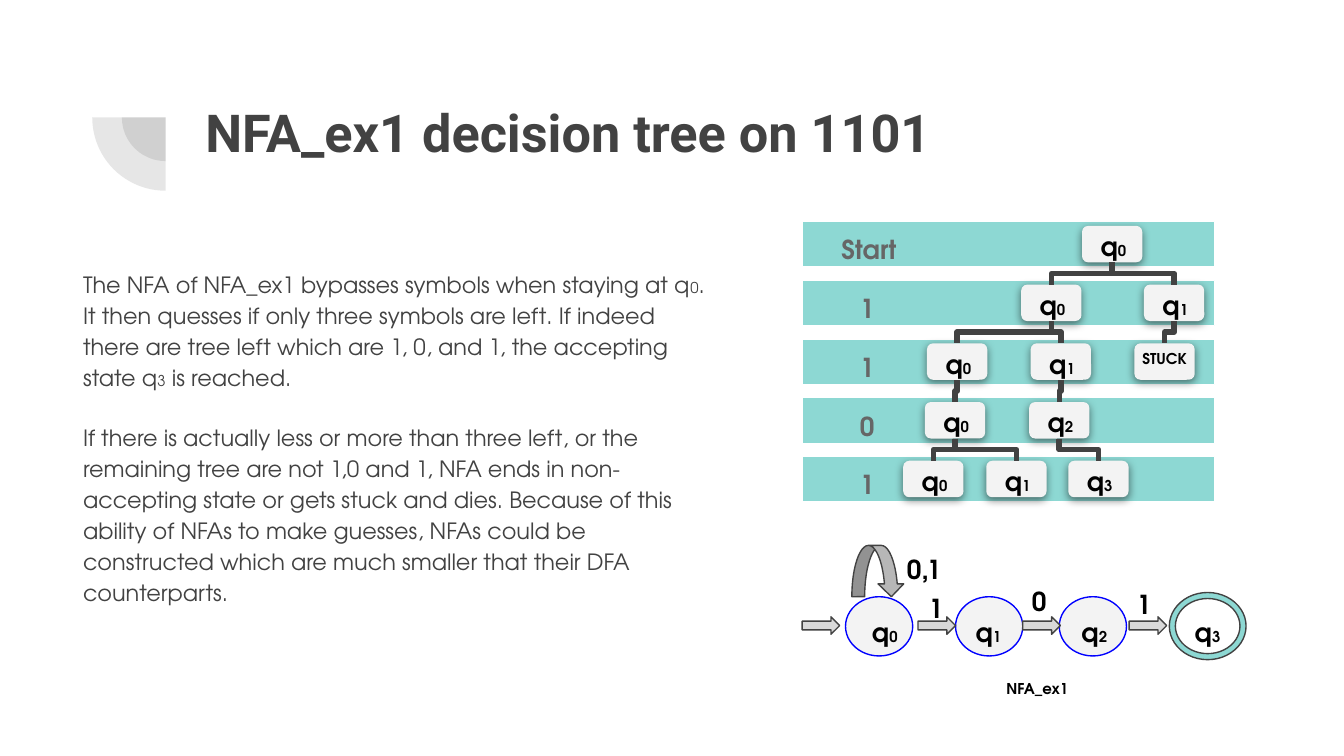
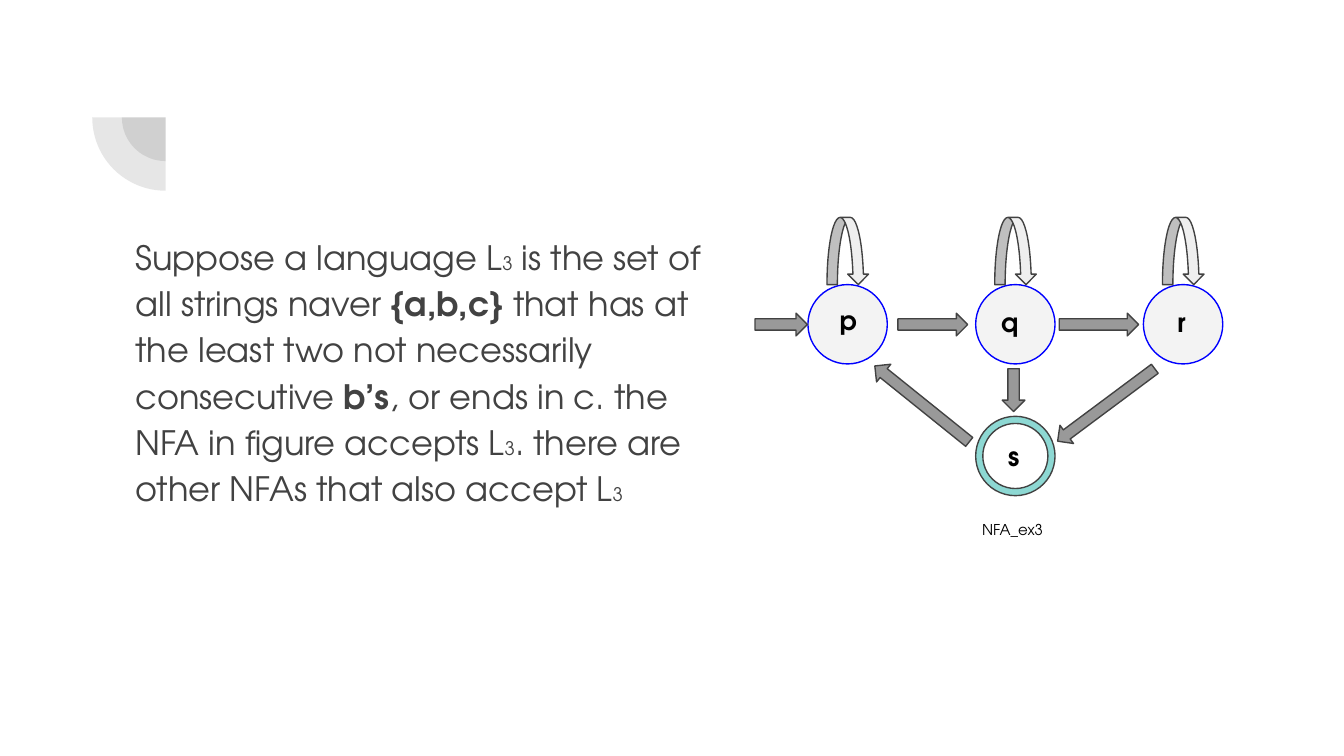
from dataclasses import dataclass
from typing import NamedTuple, Optional

from lxml.etree import SubElement
from pptx import Presentation
from pptx.dml.color import RGBColor
from pptx.enum.shapes import MSO_CONNECTOR as Link, MSO_SHAPE as Geo
from pptx.enum.text import MSO_ANCHOR as Anchor, PP_ALIGN as Align
from pptx.oxml.ns import qn
from pptx.util import Cm, Pt


@dataclass(frozen=True)
class Theme:
    ink: str = "424242"
    black: str = "000000"
    white: str = "FFFFFF"
    muted: str = "666666"
    teal: str = "8DD8D3"
    state: str = "F3F3F3"
    state_line: str = "0000FF"
    pale_arrow: str = "D9D9D9"
    dark_arrow: str = "999999"
    dark_loop: str = "B7B7B7"
    pale_loop: str = "EFEFEF"
    heading_font: str = "Roboto"
    body_font: str = "TeX Gyre Adventor"
    title: float = 28
    lead: float = 18
    label: float = 14
    body: float = 12
    lead_sub: float = 10
    small: float = 8


THEME = Theme()


class Box(NamedTuple):
    left: float
    top: float
    width: float
    height: float

    def lengths(self) -> list:
        return [Cm(side) for side in self]


class Run(NamedTuple):
    text: str
    size: float = THEME.label
    bold: bool = False


class Card(NamedTuple):
    left: float
    row: int
    sub: str
    parent: Optional[int] = None

    def box(self) -> Box:
        return Box(self.left, 4.27 + self.row * ROW_STEP, 1.14, 0.69)


class Arrow(NamedTuple):
    left: float
    top: float
    width: float
    angle: float = 0


class Label(NamedTuple):
    text: str
    left: float
    top: float


ROW_STEP = 1.11
ROW_SYMBOLS = ("Start", "1", "1", "0", "1")
CARDS = (
    Card(20.45, 0, "0"),
    Card(19.3, 1, "0", 0),
    Card(21.62, 1, "1", 0),
    Card(19.48, 2, "1", 1),
    Card(17.52, 2, "0", 1),
    Card(21.44, 2, "", 2),
    Card(19.45, 3, "2", 3),
    Card(17.48, 3, "0", 4),
    Card(17.07, 4, "0", 7),
    Card(18.64, 4, "1", 7),
    Card(20.19, 4, "3", 6),
)


def set_all(target, values: dict) -> None:
    for name, value in values.items():
        setattr(target, name, value)


def add_text(slide, box: Box, paragraphs: list, color: str = THEME.black,
             font: str = THEME.body_font, **spacing) -> None:
    frame = slide.shapes.add_textbox(*box.lengths()).text_frame
    margins = {f"margin_{side}": Cm(0.25) for side in ("left", "top", "right", "bottom")}
    set_all(frame, {"word_wrap": True, "vertical_anchor": Anchor.TOP, **margins})
    for index, runs in enumerate(paragraphs):
        paragraph = frame.add_paragraph() if index else frame.paragraphs[0]
        set_all(paragraph, {"alignment": Align.LEFT, **spacing})
        if index == 0:
            paragraph.space_before = Pt(0)
        for text, size, bold in runs:
            run = paragraph.add_run()
            run.text = text
            set_all(run.font, {"name": font, "size": Pt(size), "bold": bold})
            run.font.color.rgb = RGBColor.from_string(color)


def add_bold(slide, box: Box, text: str, size: float = THEME.label,
             color: str = THEME.black) -> None:
    add_text(slide, box, [[Run(text, size, True)]], color)


def add_state_name(slide, box: Box, sub: str) -> None:
    add_text(slide, box, [[Run("q", THEME.label, True), Run(sub, THEME.small, True)]])


def add_figure(slide, geometry, box: Box, fill: str, line: Optional[str] = THEME.ink,
               adjustments: tuple = (), angle: float = 0):
    figure = slide.shapes.add_shape(geometry, *box.lengths())
    figure.shadow.inherit = False
    figure.rotation = angle
    figure.fill.solid()
    figure.fill.fore_color.rgb = RGBColor.from_string(fill)
    if line:
        figure.line.color.rgb = RGBColor.from_string(line)
        figure.line.width = Pt(0.75)
    else:
        figure.line.fill.background()
    for index, value in enumerate(adjustments):
        figure.adjustments[index] = value
    return figure


def add_arrow(slide, arrow: Arrow, height: float, fill: str) -> None:
    box = Box(arrow.left, arrow.top, arrow.width, height)
    add_figure(slide, Geo.RIGHT_ARROW, box, fill, angle=arrow.angle)


def add_corner(slide) -> None:
    for size in (1.65, 2.77):
        box = Box(3.13 - size / 2, 2.22 - size / 2, size, size)
        pie = add_figure(slide, Geo.PIE, box, THEME.ink, None, (107.928, 162), 270)
        color = pie.fill._xPr.find(qn("a:solidFill"))[0]
        SubElement(color, qn("a:alpha"), val="13000")


def add_card(slide, card: Card) -> None:
    figure = add_figure(slide, Geo.ROUNDED_RECTANGLE, card.box(), THEME.state, None)
    effects = figure._element.spPr.find(qn("a:effectLst"))
    shadow = SubElement(effects, qn("a:outerShdw"), blurRad="57150", dist="19050",
                        dir="5400000", algn="bl", rotWithShape="0")
    color = SubElement(shadow, qn("a:srgbClr"), val=THEME.black)
    SubElement(color, qn("a:alpha"), val="50000")


def add_branch(slide, parent: Box, child: Box) -> None:
    start_x = parent.left + parent.width / 2
    start_y = parent.top + parent.height
    run, drop = child.left + child.width / 2 - start_x, child.top - start_y
    mid_x, mid_y = start_x + run / 2, start_y + drop / 2
    branch = slide.shapes.add_connector(
        Link.ELBOW, Cm(mid_x - drop / 2), Cm(mid_y + run / 2),
        Cm(mid_x + drop / 2), Cm(mid_y - run / 2))
    branch.line.color.rgb = RGBColor.from_string(THEME.ink)
    branch.line.width = Pt(3)
    properties = branch._element.spPr
    properties.find(qn("a:xfrm")).set("rot", "5400000")
    SubElement(properties, qn("a:effectLst"))


def add_tree(slide) -> None:
    for row in range(len(ROW_SYMBOLS)):
        band = Box(15.16, 4.19 + row * ROW_STEP, 7.8, 0.86)
        add_figure(slide, Geo.RECTANGLE, band, THEME.teal, THEME.white)
    for row, symbol in enumerate(ROW_SYMBOLS):
        box = Box(16.0 if row else 15.65, 4.19 + row * ROW_STEP, 1.8, 0.48)
        add_bold(slide, box, symbol, color=THEME.muted)
    for card in CARDS:
        add_card(slide, card)
    for card in CARDS:
        if card.parent is not None:
            add_branch(slide, CARDS[card.parent].box(), card.box())
    for card in CARDS:
        left, top, width, height = card.box()
        if card.sub:
            add_state_name(slide, Box(left + 0.1, top - 0.16, width, height), card.sub)
        else:
            add_bold(slide, Box(left - 0.1, top - 0.05, 1.8, height), "STUCK", THEME.small)


def add_chain(slide) -> None:
    for left in (15.98, 18.06, 20.02):
        add_figure(slide, Geo.OVAL, Box(left, 11.28, 1.27, 1.12), THEME.state, THEME.state_line)
    add_figure(slide, Geo.DONUT, Box(22.1, 11.2, 1.45, 1.27), THEME.teal, adjustments=(0.09,))
    for left in (15.16, 17.35, 19.33, 21.34):
        add_arrow(slide, Arrow(left, 11.66, 0.71), 0.33, THEME.pale_arrow)
    add_figure(slide, Geo.CURVED_DOWN_ARROW, Box(16.1, 10.31, 0.99, 0.97), THEME.dark_loop)
    for index, left in enumerate((16.23, 18.19, 20.19, 22.33)):
        add_state_name(slide, Box(left, 11.41, 0.99, 1.12), str(index))
    add_bold(slide, Box(16.89, 10.21, 1.45, 0.56), "0,1")
    for symbol in (Label("1", 17.3, 10.95), Label("0", 19.25, 10.82), Label("1", 21.23, 10.87)):
        add_bold(slide, Box(symbol.left, symbol.top, 0.86, 0.56), symbol.text)
    add_bold(slide, Box(18.77, 12.67, 2.34, 0.56), "NFA_ex1", THEME.small)


def build_decision_tree(slide) -> None:
    add_corner(slide)
    add_text(slide, Box(3.63, 1.65, 19.53, 2.77),
             [[Run("NFA_ex1 decision tree on 1101", THEME.title, True)]],
             THEME.ink, THEME.heading_font)
    size, sub = THEME.body, THEME.small
    add_text(slide, Box(1.32, 4.8, 12.4, 6.71), [
        [Run("The NFA of NFA_ex1 bypasses symbols when staying at q", size),
         Run("0", sub),
         Run(". It then quesses if only three symbols are left. If indeed there are tree "
             "left which are 1, 0, and 1, the accepting state q", size),
         Run("3", sub),
         Run(" is reached.", size)],
        [Run("If there is actually less or more than three left, or the remaining tree are "
             "not 1,0 and 1, NFA ends in non-accepting state or gets stuck and dies. Because "
             "of this ability of NFAs to make guesses, NFAs could be constructed which are "
             "much smaller that their DFA counterparts.", size)],
    ], THEME.ink, line_spacing=1.15, space_before=Pt(16))
    add_tree(slide)
    add_chain(slide)


def build_language(slide) -> None:
    add_corner(slide)
    size, sub = THEME.lead, Run("3", THEME.lead_sub)
    add_text(slide, Box(2.31, 4.11, 11.51, 7.06), [[
        Run("Suppose a language L", size), sub,
        Run(" is the set of all strings naver ", size),
        Run("{a,b,c}", size, True),
        Run(" that has at the least two not necessarily consecutive ", size),
        Run("b’s", size, True),
        Run(", or ends in c. the NFA in figure accepts L", size), sub,
        Run(". there are other NFAs that also accept L", size), sub,
    ]], THEME.ink, line_spacing=1.15, space_after=Pt(16))
    lefts = [15.27 + 3.17 * column for column in range(3)]
    for left in lefts:
        add_figure(slide, Geo.OVAL, Box(left, 5.38, 1.5, 1.5), THEME.state, THEME.state_line)
    add_figure(slide, Geo.DONUT, Box(lefts[1], 7.87, 1.5, 1.5), THEME.teal, adjustments=(0.09,))
    for arrow in (
        Arrow(14.27, 5.92, 0.99), Arrow(16.97, 5.92, 1.32), Arrow(20.02, 5.92, 1.5),
        Arrow(19.76, 7.44, 2.29, 143.3), Arrow(16.28, 7.42, 2.29, 218.8),
        Arrow(18.75, 7.16, 0.81, 90),
    ):
        add_arrow(slide, arrow, 0.43, THEME.dark_arrow)
    for left in lefts:
        box = Box(left + 0.36, 4.11, 0.79, 1.27)
        add_figure(slide, Geo.CURVED_DOWN_ARROW, box, THEME.pale_loop)
    for name in (Label("p", 15.62, 5.51), Label("q", 18.67, 5.54),
                 Label("s", 18.8, 8.08), Label("r", 22.0, 5.54)):
        add_bold(slide, Box(name.left, name.top, 0.99, 1.27), name.text)
    add_text(slide, Box(18.31, 9.68, 2.08, 0.86), [[Run("NFA_ex3", THEME.small)]])


def main() -> None:
    deck = Presentation()
    set_all(deck, {"slide_width": Cm(25.4), "slide_height": Cm(14.29)})
    for build in (build_decision_tree, build_language):
        build(deck.slides.add_slide(deck.slide_layouts[6]))
    deck.save("out.pptx")


if __name__ == "__main__":
    main()
